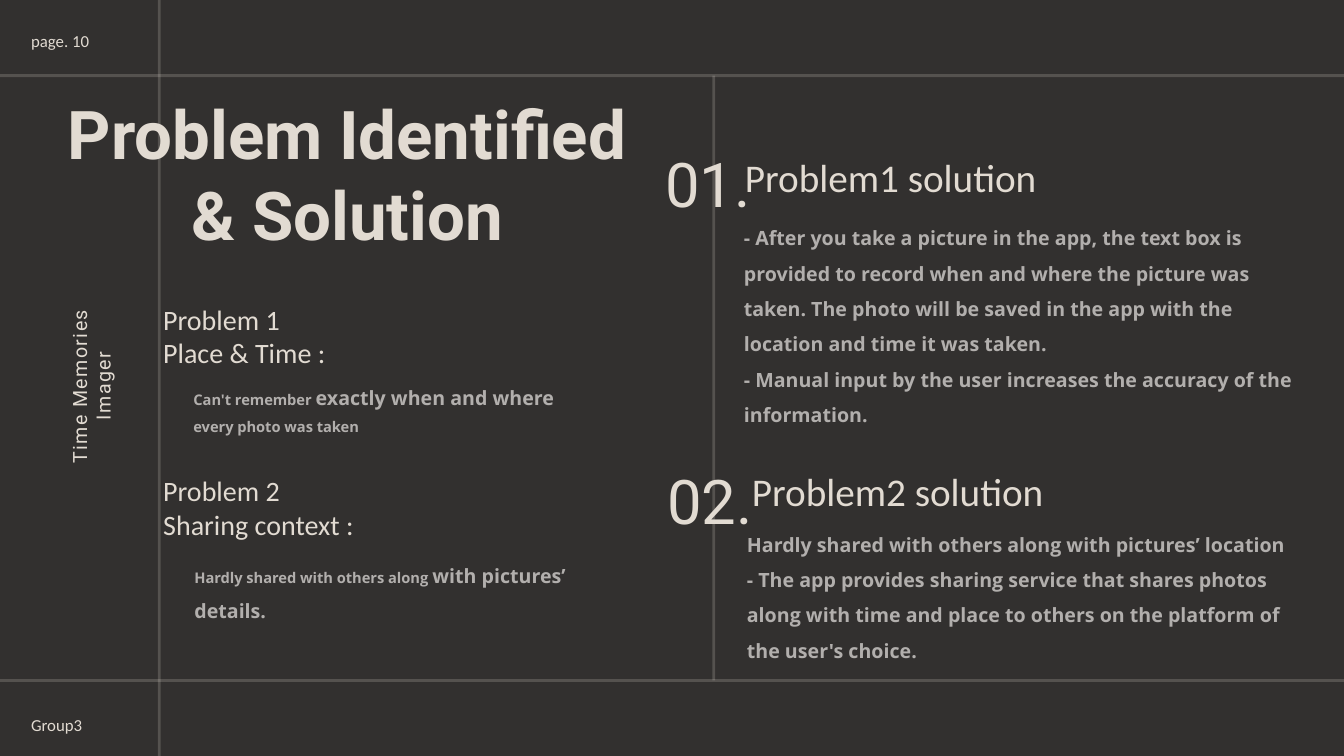
from dataclasses import dataclass

from lxml import etree
from pptx import Presentation
from pptx.dml.color import RGBColor
from pptx.enum.shapes import MSO_CONNECTOR
from pptx.enum.text import MSO_ANCHOR, MSO_AUTO_SIZE, PP_ALIGN
from pptx.oxml.ns import qn
from pptx.util import Inches, Pt

STRAIGHT = MSO_CONNECTOR.STRAIGHT
TOP = MSO_ANCHOR.TOP
FIXED, GROW = MSO_AUTO_SIZE.NONE, MSO_AUTO_SIZE.SHAPE_TO_FIT_TEXT
LEFT, CENTER = PP_ALIGN.LEFT, PP_ALIGN.CENTER


@dataclass(frozen=True)
class Theme:
    background: RGBColor = RGBColor(0x32, 0x30, 0x2F)
    cream: RGBColor = RGBColor(0xE2, 0xDB, 0xD2)
    gray: RGBColor = RGBColor(0xB2, 0xAF, 0xAD)
    label_font: str = "Calibri"
    body_font: str = "Open Sans"
    display_font: str = "Roboto"
    title: float = 48
    number: float = 44
    heading: float = 28
    problem: float = 20
    body: float = 14
    label: float = 12
    detail: float = 10.5


theme = Theme()
deck = Presentation()
deck.slide_width, deck.slide_height = Inches(13.33), Inches(7.5)
page = deck.slides.add_slide(deck.slide_layouts[5])
page.background.fill.solid()
page.background.fill.fore_color.rgb = theme.background


def write(box, text, *, size, font=theme.label_font, color=theme.cream, bold=False,
          align=LEFT, spacing=1.0, wrap=True, fit=GROW, tracking=0):
    frame = box.text_frame
    frame.word_wrap, frame.auto_size, frame.vertical_anchor = wrap, fit, TOP
    for index, spans in enumerate(text):
        para = frame.add_paragraph() if index else frame.paragraphs[0]
        para.alignment, para.line_spacing = align, spacing
        for words, span_size in [(spans, size)] if isinstance(spans, str) else spans:
            span = para.add_run()
            span.text = words
            span.font.size, span.font.name, span.font.bold = Pt(span_size), font, bold
            span.font.color.rgb = color
            if tracking:
                span.font._element.set("spc", str(tracking))


def add_text(left, top, width, height, text, **style):
    box = page.shapes.add_textbox(Inches(left), Inches(top), Inches(width), Inches(height))
    write(box, text, **style)
    return box


for x1, y1, x2, y2 in [(0, 6.75, 13.33, 6.75), (1.58, 7.5, 1.58, 0),
                       (0, 0.75, 13.33, 0.75), (7.08, 6.75, 7.08, 0.75)]:
    rule = page.shapes.add_connector(STRAIGHT, Inches(x1), Inches(y1), Inches(x2), Inches(y2))
    rule.line.width = Pt(2)
    rule.line.color.rgb = theme.cream
    color = rule.line._ln.find(".//" + qn("a:srgbClr"))
    etree.SubElement(color, qn("a:alpha")).set("val", "20000")
    etree.SubElement(rule._element.spPr, qn("a:effectLst"))

title = page.shapes.title
title.left, title.top = Inches(-0.1), Inches(0.87)
title.width, title.height = Inches(7.09), Inches(1.72)
write(title, ["Problem Identified", "& Solution"], size=theme.title,
      font=theme.display_font, bold=True, align=CENTER, fit=FIXED)
title.element.getparent().append(title.element)

for top, width, label in [(0.26, 0.78, "page. 10"), (7.04, 0.71, "Group3")]:
    add_text(0.21, top, width, 0.3, [label], size=theme.label, wrap=False)

side_label = add_text(-0.38, 3.66, 2.34, 0.34, ["Time Memories Imager"], size=theme.body,
                      font=theme.display_font, align=CENTER, fit=FIXED, tracking=100)
side_label.rotation = 270

body_style = dict(size=theme.body, font=theme.body_font, color=theme.gray, bold=True, spacing=1.5)

problems = [
    (2.95, 1.83, ["Problem 1", "Place & Time :"], 1.82, 3.66, 0.69,
     [("Can't remember ", theme.detail), ("exactly when and where ", theme.body),
      ("every photo was taken", theme.detail)]),
    (4.65, 2.11, ["Problem 2", "Sharing context :"], 1.83, 5.43, 0.77,
     [("Hardly shared with others along ", theme.detail),
      ("with pictures’ details.", theme.body)]),
]
for top, width, heading, detail_left, detail_top, detail_height, detail in problems:
    add_text(1.52, top, width, 0.77, heading, size=theme.problem, wrap=False)
    add_text(detail_left, detail_top, 3.93, detail_height, [detail], **body_style)

solutions = [
    ("01.", 6.5, 1.4, "Problem1 solution", 7.29, 1.47, 7.28, 2.08, 5.7,
     ["- After you take a picture in the app, the text box is provided to record when and "
      "where the picture was taken. The photo will be saved in the app with the location "
      "and time it was taken.",
      "- Manual input by the user increases the accuracy of the information."]),
    ("02.", 6.52, 4.54, "Problem2 solution", 7.36, 4.59, 7.31, 5.12, 5.67,
     ["Hardly shared with others along with pictures’ location",
      "- The app provides sharing service that shares photos along with time and place to "
      "others on the platform of the user's choice."]),
]
for (number, number_left, number_top, heading, heading_left, heading_top,
     body_left, body_top, body_width, body) in solutions:
    add_text(number_left, number_top, 2.7, 0.86, [number], size=theme.number,
             font=theme.display_font)
    add_text(heading_left, heading_top, 3.13, 0.57, [heading], size=theme.heading, wrap=False)
    add_text(body_left, body_top, body_width, 1.83, body, **body_style)

deck.save("out.pptx")
